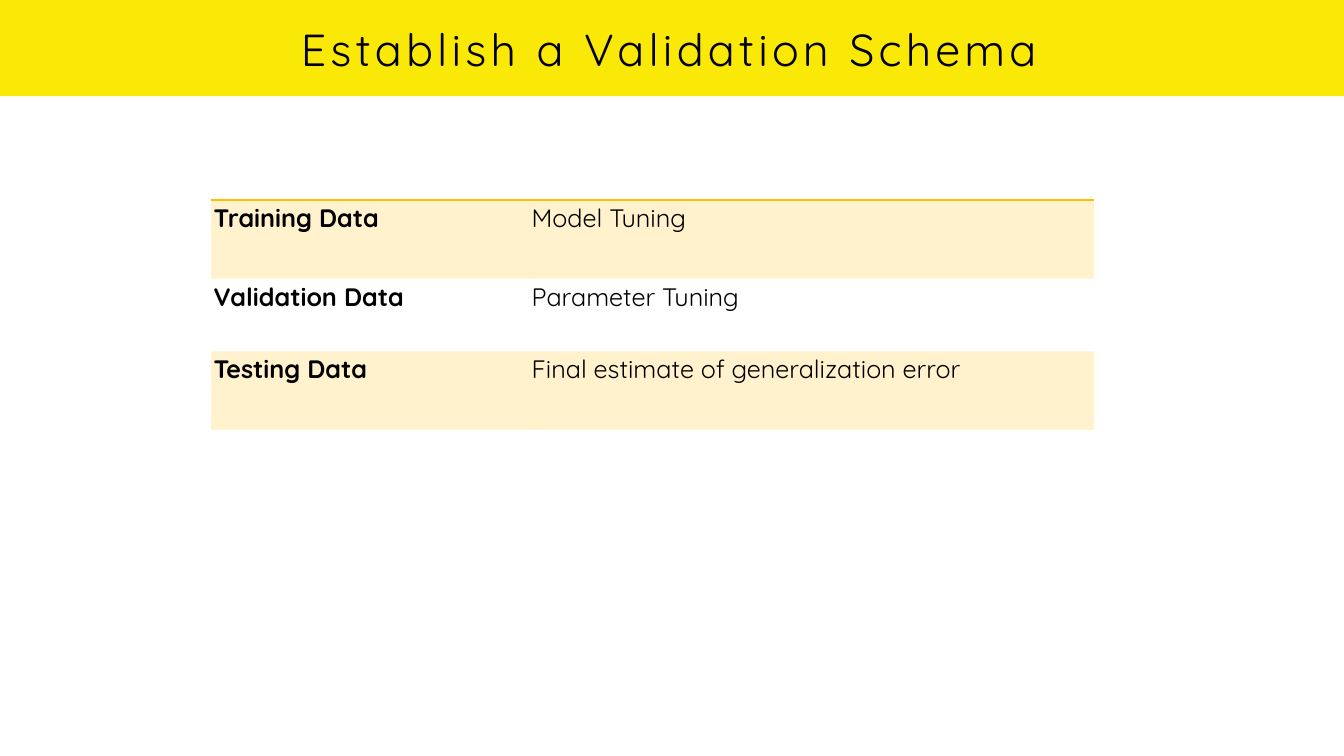
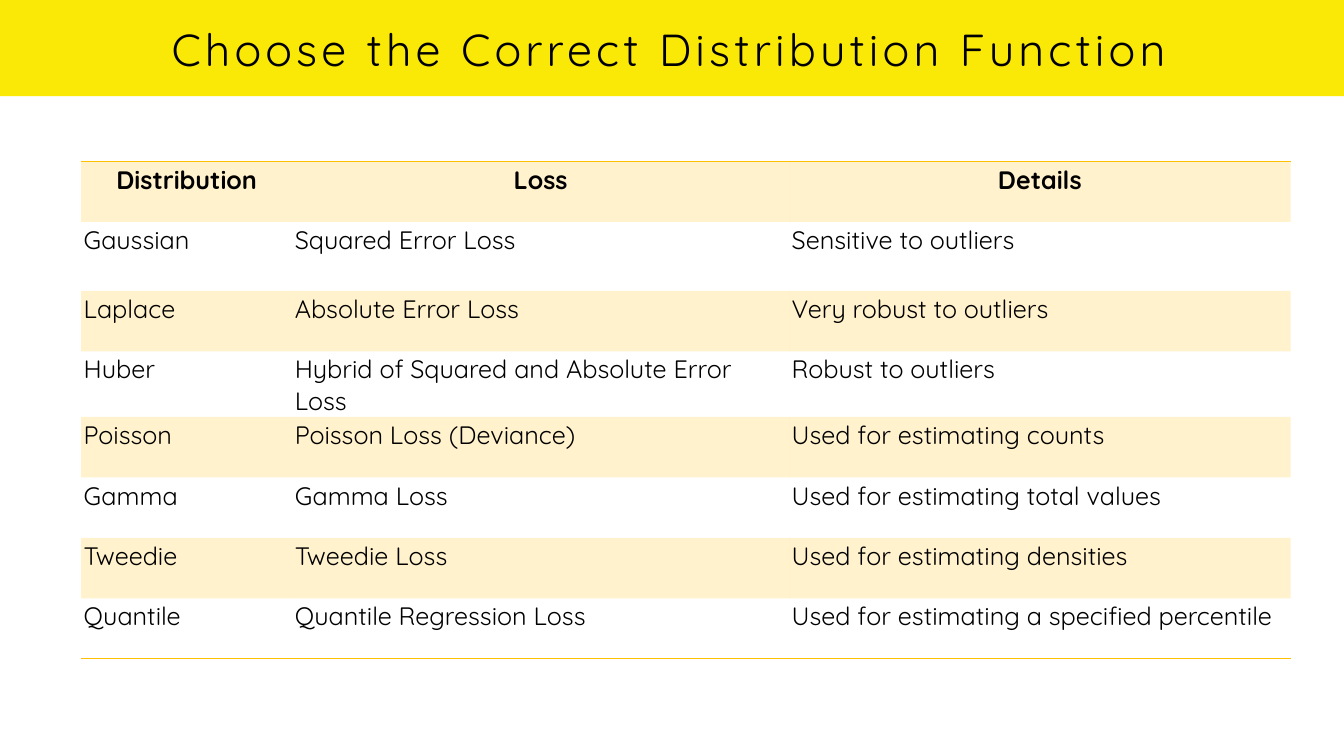
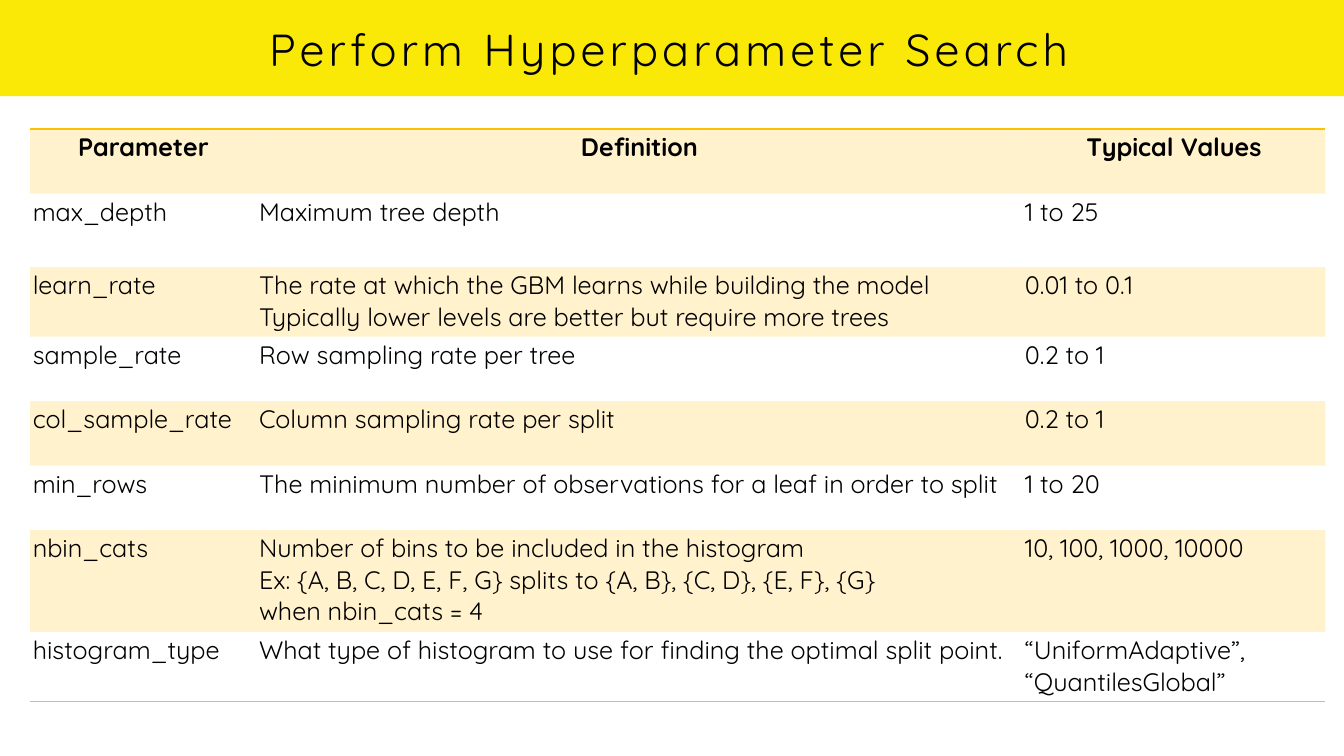
from dataclasses import dataclass

from lxml import etree
from pptx import Presentation
from pptx import util as u
from pptx.dml import color
from pptx.enum import shapes, text
from pptx.oxml import ns

SCALE = 9144  # EMU in one px (100 px to the inch)


@dataclass(frozen=True)
class Theme:
    font: str = "Quicksand"
    ink: str = "000000"
    band: str = "FAE807"
    accent: str = "FFC000"
    stripe_alpha: int = 20  # percent
    title_pt: int = 64
    title_spacing_pt: int = 6
    table_pt: int = 36
    rule_pt: int = 2


THEME = Theme()
PLAIN_TABLE = "{2D5ABB26-0587-4C30-8999-92F81FD0307C}"


def px(n):
    return u.Emu(n * SCALE)


def rgb(value):
    return color.RGBColor.from_string(value)


# Text
def write_text(tf, content, size=THEME.table_pt, bold=False, centred=False,
               spacing=0, hanging=0, inset=5, anchor=text.MSO_ANCHOR.TOP):
    tf.word_wrap = True
    tf.vertical_anchor = anchor
    tf.margin_left = tf.margin_right = px(inset)
    tf.margin_top = tf.margin_bottom = px(inset)
    for i, line in enumerate(content.split("\n")):
        p = tf.add_paragraph() if i else tf.paragraphs[0]
        p.alignment = text.PP_ALIGN.CENTER if centred else text.PP_ALIGN.LEFT
        if hanging:
            pPr = p._p.get_or_add_pPr()
            pPr.set("marL", str(px(hanging)))
            pPr.set("indent", str(-px(hanging)))
        r = p.add_run()
        r.text = line
        r.font.name = THEME.font
        r.font.size = u.Pt(size)
        r.font.bold = bold
        r.font.color.rgb = rgb(THEME.ink)
        if spacing:
            r._r.get_or_add_rPr().set("spc", str(spacing * 100))


# Title band
def add_title(s, title):
    sp = s.shapes.add_shape(shapes.MSO_SHAPE.RECTANGLE,
                            px(-1), px(0), px(2669), px(191))
    sp.shadow.inherit = False
    sp.fill.solid()
    sp.fill.fore_color.rgb = rgb(THEME.band)
    sp.line.fill.background()
    box = s.shapes.add_textbox(px(60), px(-1), px(2536), px(193))
    write_text(box.text_frame, title, size=THEME.title_pt, centred=True,
               spacing=THEME.title_spacing_pt, inset=10,
               anchor=text.MSO_ANCHOR.MIDDLE)


# Table
def fill_stripe(cell):
    cell.fill.solid()
    cell.fill.fore_color.rgb = rgb(THEME.accent)
    clr = cell._tc.tcPr.find(".//" + ns.qn("a:srgbClr"))
    etree.SubElement(clr, ns.qn("a:alpha"), val=str(THEME.stripe_alpha * 1000))


def add_rule(cell, edge):
    ln = etree.Element(ns.qn("a:" + edge), w=str(u.Pt(THEME.rule_pt)))
    solid = etree.SubElement(ln, ns.qn("a:solidFill"))
    etree.SubElement(solid, ns.qn("a:srgbClr"), val=THEME.accent)
    cell._tc.get_or_add_tcPr().insert(0, ln)


def add_striped_table(s, left, top, widths, heights, rows, header=True):
    """With a header the first row is bold and a rule closes the table;
    without one the first column is bold."""
    frame = s.shapes.add_table(len(rows), len(widths), px(left), px(top),
                               px(sum(widths)), px(sum(heights)))
    table = frame.table
    table.first_row = table.horz_banding = False
    table._tbl.tblPr.find(ns.qn("a:tableStyleId")).text = PLAIN_TABLE
    for column, width in zip(table.columns, widths):
        column.width = px(width)
    for i, (row, height) in enumerate(zip(rows, heights)):
        table.rows[i].height = px(height)
        for j, content in enumerate(row):
            cell = table.cell(i, j)
            write_text(cell.text_frame, content,
                       bold=i == 0 if header else j == 0,
                       centred=header and i == 0,
                       hanging=62 if i == 1 and j > 0 else 0)
            cell.margin_left = cell.margin_right = px(5)
            cell.margin_top = cell.margin_bottom = px(5)
            if i % 2 == 0:
                fill_stripe(cell)
            else:
                cell.fill.background()
            if i == 0:
                add_rule(cell, "lnT")
            elif header and i == len(rows) - 1:
                add_rule(cell, "lnB")


# Content
DATA_SETS = [
    ("Training Data", "Model Tuning"),
    ("Validation Data", "Parameter Tuning"),
    ("Testing Data", "Final estimate of generalization error"),
]

DISTRIBUTIONS = [
    ("Distribution", "Loss", "Details"),
    ("Gaussian", "Squared Error Loss", "Sensitive to outliers"),
    ("Laplace", "Absolute Error Loss", "Very robust to outliers"),
    ("Huber", "Hybrid of Squared and Absolute Error Loss",
     "Robust to outliers"),
    ("Poisson", "Poisson Loss (Deviance)", "Used for estimating counts"),
    ("Gamma", "Gamma Loss", "Used for estimating total values"),
    ("Tweedie", "Tweedie Loss", "Used for estimating densities"),
    ("Quantile", "Quantile Regression Loss",
     "Used for estimating a specified percentile"),
]

HYPERPARAMETERS = [
    ("Parameter", "Definition", "Typical Values"),
    ("max_depth", "Maximum tree depth", "1 to 25"),
    ("learn_rate",
     "The rate at which the GBM learns while building the model\n"
     "Typically lower levels are better but require more trees",
     "0.01 to 0.1"),
    ("sample_rate", "Row sampling rate per tree", "0.2 to 1"),
    ("col_sample_rate", "Column sampling rate per split", "0.2 to 1"),
    ("min_rows",
     "The minimum number of observations for a leaf in order to split",
     "1 to 20"),
    ("nbin_cats",
     "Number of bins to be included in the histogram\n"
     "Ex: {A, B, C, D, E, F, G} splits to {A, B}, {C, D}, {E, F}, {G}\n"
     "when nbin_cats = 4",
     "10, 100, 1000, 10000"),
    ("histogram_type",
     "What type of histogram to use for finding the optimal split point.",
     "“UniformAdaptive”, “QuantilesGlobal”"),
]


def main():
    prs = Presentation()
    prs.slide_width, prs.slide_height = px(2667), px(1500)

    def new_slide(title):
        s = prs.slides.add_slide(prs.slide_layouts[6])
        add_title(s, title)
        return s

    # Validation schema
    s = new_slide("Establish a Validation Schema")
    add_striped_table(s, 419, 397, [631, 1121], [156, 144, 156],
                      DATA_SETS, header=False)

    # Distribution functions
    s = new_slide("Choose the Correct Distribution Function")
    add_striped_table(s, 161, 320, [419, 986, 995], [120, 137] + [120] * 6,
                      DISTRIBUTIONS)

    # Hyperparameters
    s = new_slide("Perform Hyperparameter Search")
    add_striped_table(s, 60, 256, [449, 1520, 601],
                      [128, 146, 138, 128, 128, 128, 202, 138],
                      HYPERPARAMETERS)

    prs.save("out.pptx")


if __name__ == "__main__":
    main()
